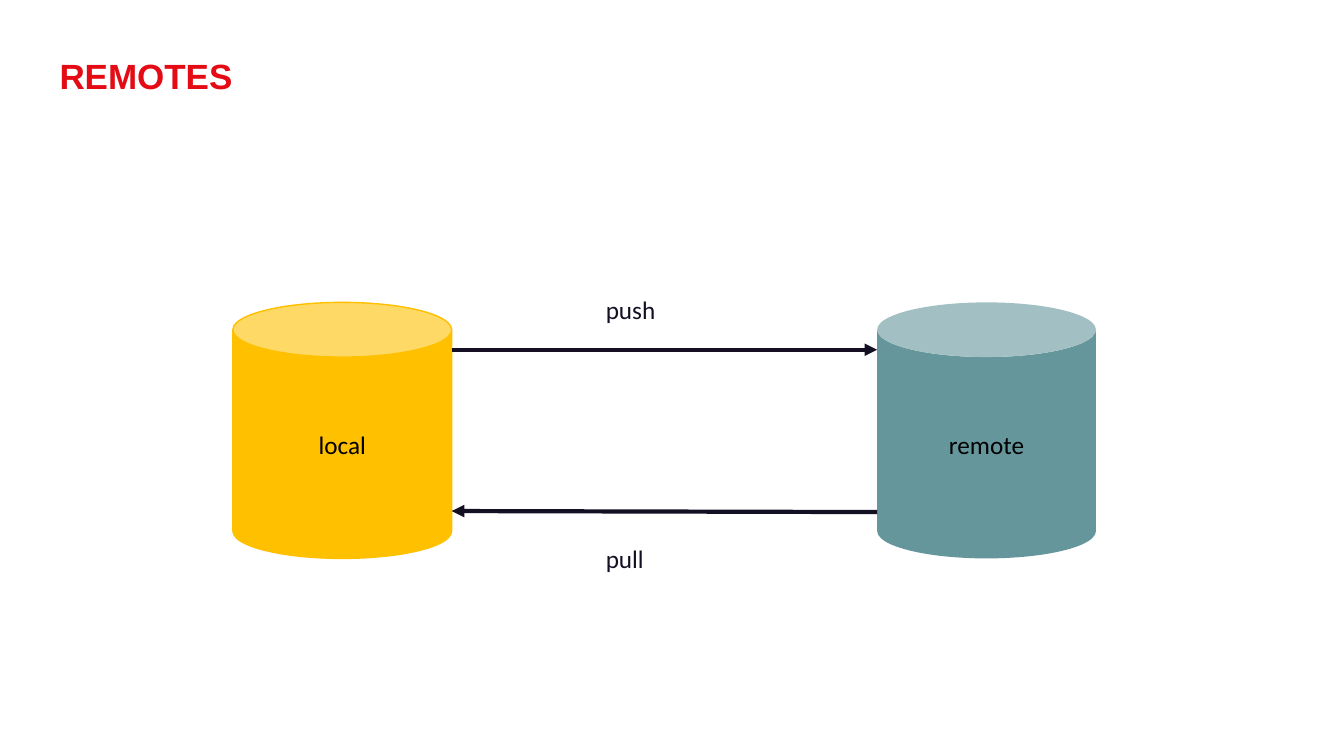
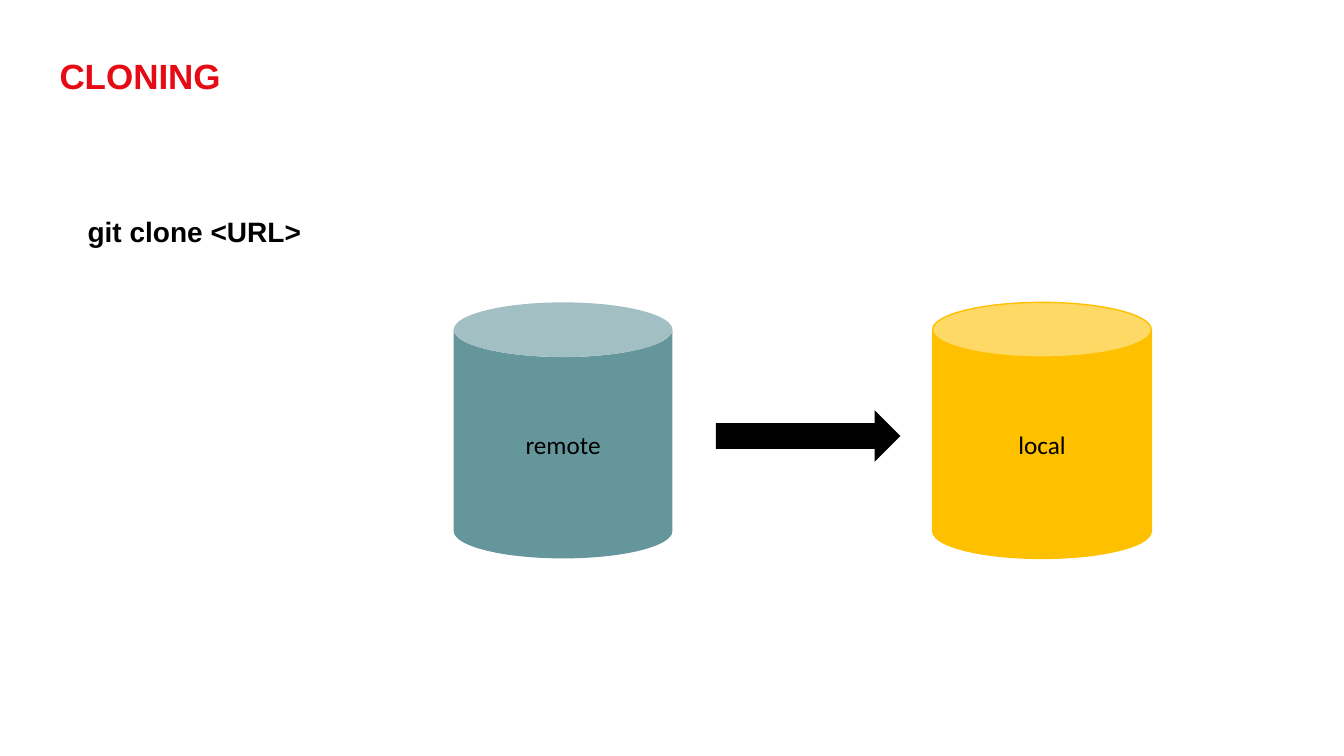
from lxml import etree
from pptx import Presentation
from pptx.dml.color import RGBColor
from pptx.enum.shapes import MSO_CONNECTOR, MSO_SHAPE
from pptx.enum.text import MSO_ANCHOR, PP_ALIGN
from pptx.oxml.ns import qn
from pptx.util import Inches, Pt

CAN = MSO_SHAPE.CAN
RIGHT_ARROW = MSO_SHAPE.RIGHT_ARROW
STRAIGHT = MSO_CONNECTOR.STRAIGHT
TOP, MIDDLE = MSO_ANCHOR.TOP, MSO_ANCHOR.MIDDLE
LEFT, CENTER = PP_ALIGN.LEFT, PP_ALIGN.CENTER

RED = RGBColor(0xE5, 0x0B, 0x14)
YELLOW = RGBColor(0xFF, 0xC0, 0x00)
TEAL = RGBColor(0x65, 0x96, 0x9B)
INK = RGBColor(0x14, 0x0F, 0x23)
BLACK = RGBColor(0x00, 0x00, 0x00)

# Shared geometry, in inches
SLIDE_WIDTH, SLIDE_HEIGHT = 13.33, 7.5
MARGIN = 0.59
CAN_TOP, CAN_WIDTH, CAN_HEIGHT = 3, 2.17, 2.54
LABEL_WIDTH, LABEL_HEIGHT = 0.88, 0.4
REPOSITORY_COLORS = {"local": YELLOW, "remote": TEAL}


def box(*lengths):
    return [Inches(length) for length in lengths]


def add_run(paragraph, text, size, color, font="Calibri", bold=False):
    run = paragraph.add_run()
    run.text = text
    run.font.name = font
    run.font.size = Pt(size)
    run.font.bold = bold
    run.font.color.rgb = color


def add_titled_slide(presentation, text):
    slide = presentation.slides.add_slide(presentation.slide_layouts[5])
    title = slide.shapes.title
    title.left, title.top, title.width, title.height = box(
        MARGIN, MARGIN, SLIDE_WIDTH - 2 * MARGIN, 0.63)
    frame = title.text_frame
    frame.margin_left = frame.margin_top = 0
    frame.margin_right = frame.margin_bottom = 0
    frame.vertical_anchor = TOP
    paragraph = frame.paragraphs[0]
    paragraph.alignment = LEFT
    paragraph.line_spacing = 0.9
    add_run(paragraph, text, 25, RED, "Arial", True)
    return slide


def add_filled_shape(slide, kind, color, left, top, width, height):
    shape = slide.shapes.add_shape(kind, *box(left, top, width, height))
    shape.shadow.inherit = False
    shape.fill.solid()
    shape.fill.fore_color.rgb = color
    shape.line.fill.background()
    return shape


def add_repository(slide, name, left):
    can = add_filled_shape(slide, CAN, REPOSITORY_COLORS[name],
                           left, CAN_TOP, CAN_WIDTH, CAN_HEIGHT)
    if name == "local":
        can.line.color.rgb = YELLOW
        can.line.width = Pt(1)
    can.text_frame.vertical_anchor = MIDDLE
    paragraph = can.text_frame.paragraphs[0]
    paragraph.alignment = CENTER
    add_run(paragraph, name, 18, BLACK)


def add_text(slide, text, left, top, width, height, **style):
    text_box = slide.shapes.add_textbox(*box(left, top, width, height))
    text_box.text_frame.word_wrap = True
    add_run(text_box.text_frame.paragraphs[0], text, **style)


def add_arrow(slide, start, end):
    arrow = slide.shapes.add_connector(STRAIGHT, *box(*start, *end))
    arrow.line.color.rgb = INK
    arrow.line.width = Pt(3)
    # Arrowhead, and no shadow
    line = arrow.line._get_or_add_ln()
    etree.SubElement(line, qn("a:tailEnd"), type="triangle")
    etree.SubElement(arrow._element.spPr, qn("a:effectLst"))


def build_remotes(presentation):
    slide = add_titled_slide(presentation, "REMOTES")
    local_left, remote_left = 2.31, 8.7
    add_repository(slide, "local", local_left)
    add_repository(slide, "remote", remote_left)
    # Transfers between the facing sides
    local_right = local_left + CAN_WIDTH
    add_arrow(slide, (local_right, 3.47), (remote_left, 3.47))
    add_arrow(slide, (remote_left, 5.08), (local_right, 5.07))
    for label, top in (("push", 2.87), ("pull", 5.34)):
        add_text(slide, label, 5.91, top, LABEL_WIDTH, LABEL_HEIGHT,
                 size=18, color=INK)


def build_cloning(presentation):
    slide = add_titled_slide(presentation, "CLONING")
    add_text(slide, "git clone <URL>", 0.77, 2.08, 11.81, 0.45,
             size=20, color=BLACK, font="Arial", bold=True)
    add_repository(slide, "local", 9.25)
    add_repository(slide, "remote", 4.5)
    add_filled_shape(slide, RIGHT_ARROW, BLACK, 7.1, 4.07, 1.83, 0.51)


def main():
    presentation = Presentation()
    presentation.slide_width = Inches(SLIDE_WIDTH)
    presentation.slide_height = Inches(SLIDE_HEIGHT)
    build_remotes(presentation)
    build_cloning(presentation)
    presentation.save("out.pptx")


if __name__ == "__main__":
    main()
